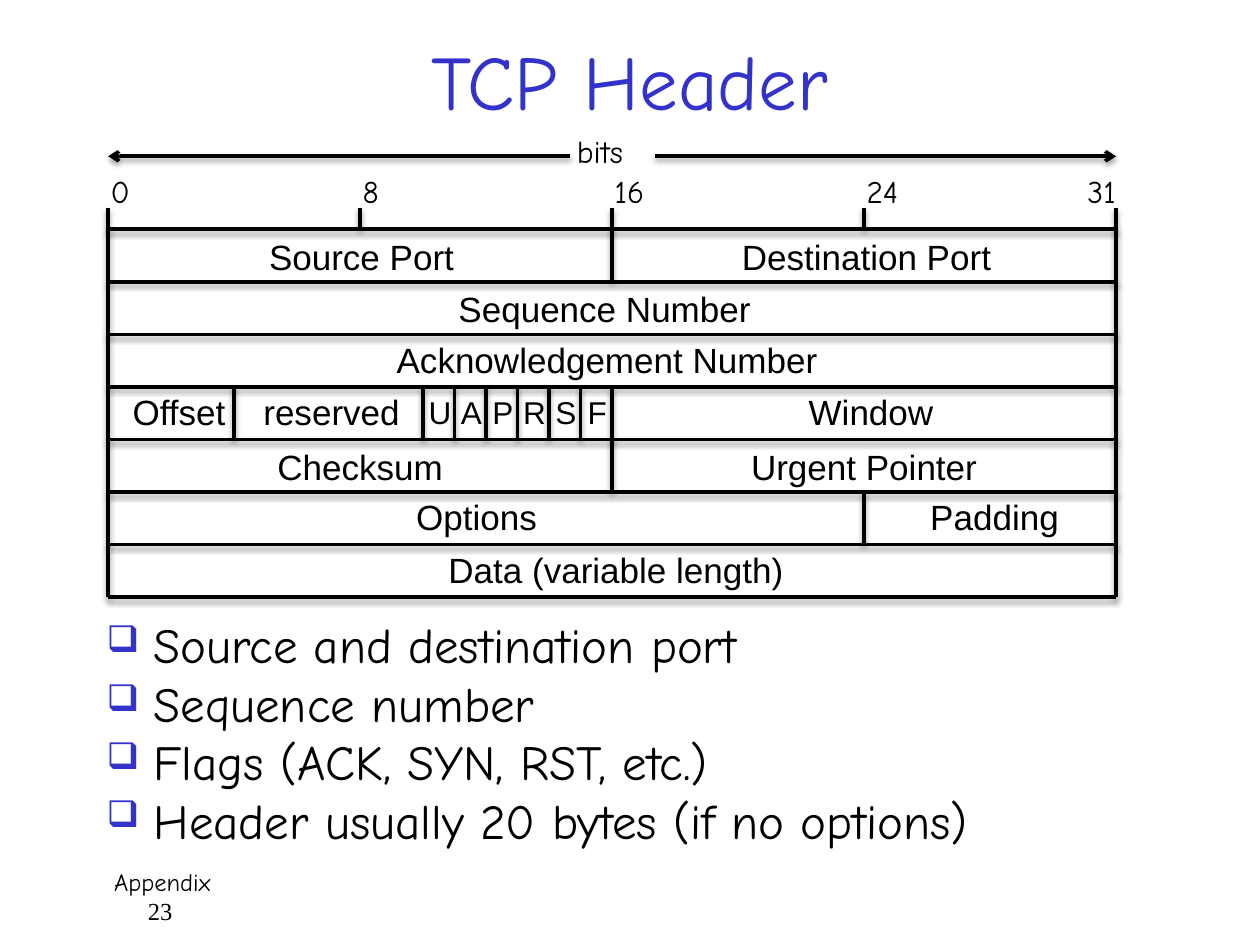
from lxml.etree import SubElement
from pptx import Presentation
from pptx.dml.color import RGBColor
from pptx.enum.shapes import MSO_CONNECTOR as Connector
from pptx.enum.text import MSO_ANCHOR as Anchor, MSO_AUTO_SIZE as AutoSize, PP_ALIGN as Align
from pptx.oxml.ns import qn
from pptx.util import Cm, Pt

BLACK, BLUE = "000000", "3333CC"
HAND, SANS, SERIF = "Comic Neue", "Arial", "Times New Roman"

# Header grid, in cm
LEFT, TOP = 2.18, 4.62
WIDTH, ROW = 20.32, 1.06
BITS = 32
RIGHT = LEFT + WIDTH

# Each row: vertical nudge of its labels, then (label, bits, label width, label shift)
ROWS = [
    (0, [("Source Port", 16, 4.27, 0.03), ("Destination Port", 16, 5.59, 0.05)]),
    (0, [("Sequence Number", 32, 6.45, -0.15)]),
    (-0.05, [("Acknowledgement Number", 32, 9.09, -0.1)]),
    (-0.05, [("Offset", 4, 2.41, 0.16), ("reserved", 6, 3.28, 0.06),
             *[(flag, 1, 0.95, 0.02) for flag in "UAPRSF"],
             ("Window", 16, 3.12, 0.14)]),
    (0, [("Checksum", 16, 3.89, 0), ("Urgent Pointer", 16, 5.11, 0)]),
    (-0.05, [("Options", 24, 2.97, -0.19), ("Padding", 8, 3.12, 0.09)]),
    (-0.05, [("Data (variable length)", 32, 7.32, 0.08)]),
]

# Bit number, position on the ruler, label left edge and width
SCALE = [("0", 0, 1.98, 0.91), ("8", 8, 7.06, 0.91), ("16", 16, 12.14, 1.19),
         ("24", 24, 17.22, 1.3), ("31", 32, 21.67, 1.19)]

POINTS = ["Source and destination port", "Sequence number",
          "Flags (ACK, SYN, RST, etc.)", "Header usually 20 bytes (if no options)"]


def rgb(color):
    return RGBColor.from_string(color)


def bit_x(bit):
    return LEFT + WIDTH * bit / BITS


def add_text(slide, text, left, top, width, height, size=20, font=SANS,
             color=BLACK, align=Align.LEFT, anchor=Anchor.TOP, wrap=False):
    """Add a text box with one paragraph per line of text; return its frame."""
    frame = slide.shapes.add_textbox(Cm(left), Cm(top), Cm(width), Cm(height)).text_frame
    frame.word_wrap = wrap
    frame.auto_size = AutoSize.NONE if wrap else AutoSize.SHAPE_TO_FIT_TEXT
    frame.vertical_anchor = anchor
    frame.text = text
    for paragraph in frame.paragraphs:
        paragraph.alignment = align
        run_font = paragraph.runs[0].font
        run_font.size, run_font.name = Pt(size), font
        run_font.color.rgb = rgb(color)
    return frame


def add_line(slide, x1, y1, x2, y2, arrow=False):
    """Add a black line with a soft shadow and, if asked, an arrowhead at its end."""
    line = slide.shapes.add_connector(Connector.STRAIGHT, Cm(x1), Cm(y1), Cm(x2), Cm(y2))
    line.line.color.rgb = rgb(BLACK)
    line.line.width = Pt(2)
    properties = line._element.spPr
    if arrow:
        SubElement(properties.find(qn("a:ln")), qn("a:tailEnd"), type="arrow")
    effects = SubElement(properties, qn("a:effectLst"))
    shadow = SubElement(effects, qn("a:outerShdw"), blurRad="40000", dist="20000",
                        dir="5400000", rotWithShape="0")
    shade = SubElement(shadow, qn("a:srgbClr"), val=BLACK)
    SubElement(shade, qn("a:alpha"), val="38000")


def indent(paragraph, margin, first=0):
    properties = paragraph._p.get_or_add_pPr()
    properties.set("marL", str(Cm(margin)))
    properties.set("indent", str(Cm(first)))
    return properties


def add_bullets(slide):
    frame = add_text(slide, "\n".join(POINTS), 1.9, 12.5, 21.8, 4.87,
                     size=28, font=HAND, wrap=True)
    for paragraph in frame.paragraphs:
        paragraph.line_spacing = 0.8
        paragraph.space_before = Pt(6.5)
        properties = indent(paragraph, 0.95, -0.95)
        bullet_color = SubElement(properties, qn("a:buClr"))
        SubElement(bullet_color, qn("a:srgbClr"), val=BLUE)
        SubElement(properties, qn("a:buSzPct"), val="75000")
        SubElement(properties, qn("a:buChar"), char="❑")


def add_ruler(slide):
    add_line(slide, 11.5, 3.15, LEFT, 3.15, arrow=True)
    add_line(slide, 13.2, 3.15, RIGHT, 3.15, arrow=True)
    add_text(slide, "bits", 11.38, 2.54, 1.68, 1.02, size=18, font=HAND)
    for number, bit, left, width in SCALE:
        add_line(slide, bit_x(bit), TOP, bit_x(bit), 4.2)
        add_text(slide, number, left, 3.35, width, 1.02, size=18, font=HAND)


def add_field(slide, label, first, bits, top, width, shift):
    is_flag = bits == 1
    center = bit_x(first + bits / 2) + shift
    add_text(slide, label, center - width / 2, top, width, 1.02 if is_flag else 1.11,
             size=18 if is_flag else 20, align=Align.CENTER)


def add_header_grid(slide):
    bottom = TOP + ROW * len(ROWS)
    for x in (LEFT, RIGHT):
        add_line(slide, x, TOP, x, bottom)
    for index in range(len(ROWS) + 1):
        add_line(slide, LEFT, TOP + ROW * index, RIGHT, TOP + ROW * index)
    for index, (nudge, fields) in enumerate(ROWS):
        top = TOP + ROW * index
        first = 0
        for label, bits, width, shift in fields:
            if first:
                add_line(slide, bit_x(first), top, bit_x(first), top + ROW)
            label_top = top if bits == 1 else top + nudge
            add_field(slide, label, first, bits, label_top, width, shift)
            first += bits


def add_footer(slide):
    frame = add_text(slide, "Appendix\n23", 1.9, 17.35, 21.8, 1.27,
                     size=14, font=HAND, wrap=True)
    section, page = frame.paragraphs
    indent(section, 0.15)
    indent(page, 0.83)
    page.runs[0].font.name = SERIF


def main():
    deck = Presentation()
    deck.slide_width, deck.slide_height = Cm(25.4), Cm(19.05)
    slide = deck.slides.add_slide(deck.slide_layouts[6])
    add_footer(slide)
    add_text(slide, "TCP Header", 1.9, 0.43, 21.6, 2.34, size=44, font=HAND,
             color=BLUE, align=Align.CENTER, anchor=Anchor.MIDDLE, wrap=True)
    add_bullets(slide)
    add_header_grid(slide)
    add_ruler(slide)
    deck.save("out.pptx")


if __name__ == "__main__":
    main()
